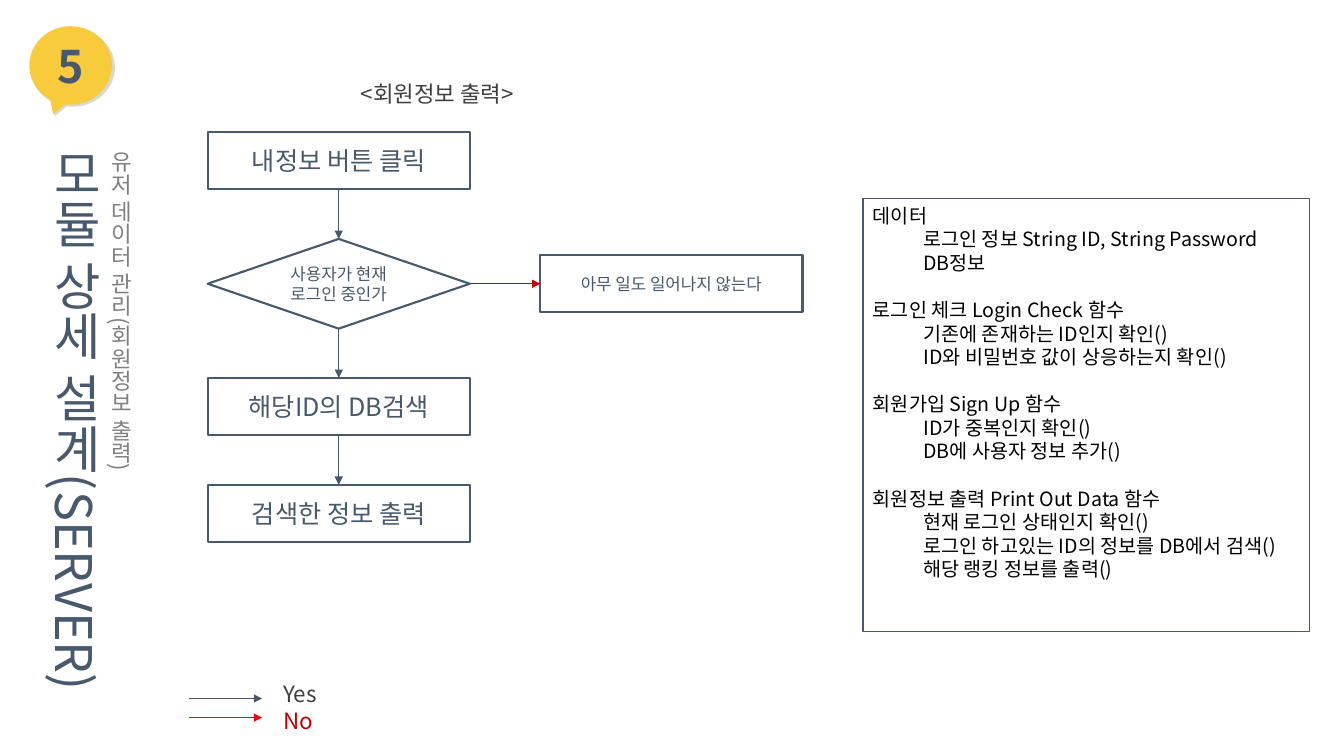
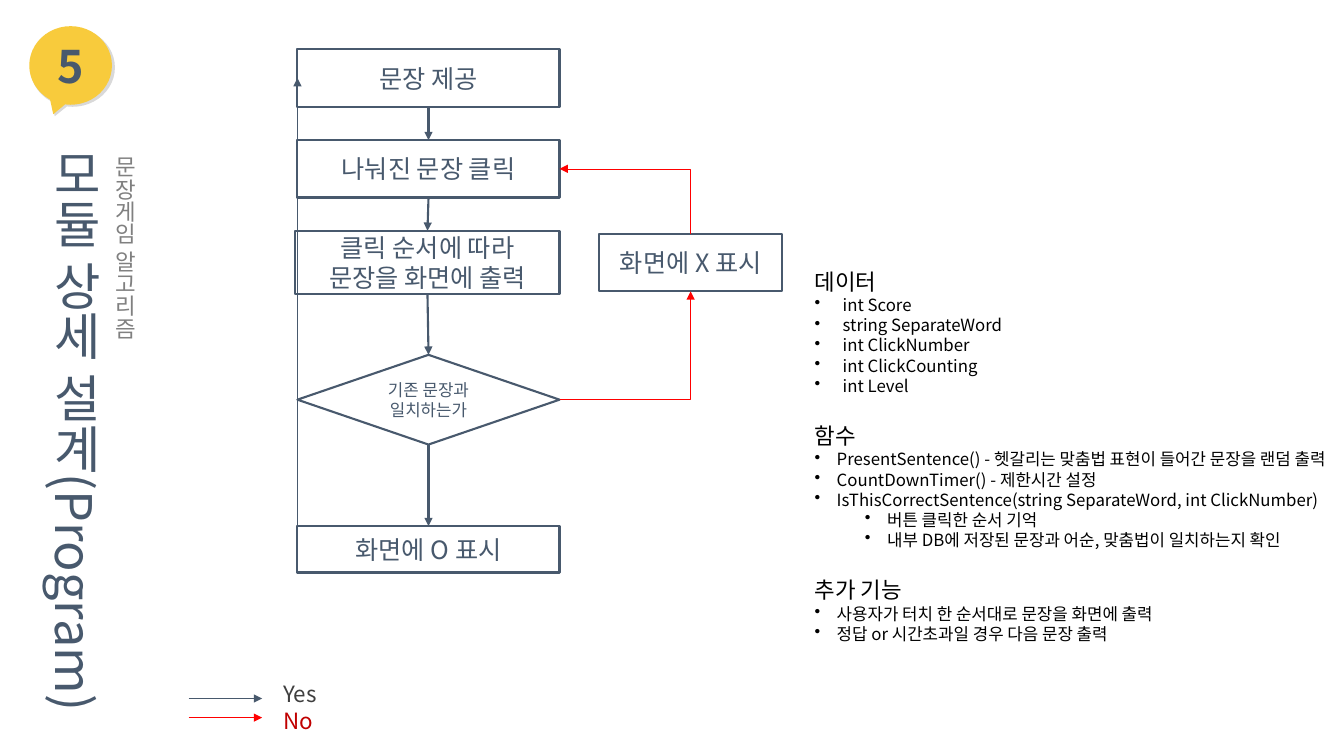
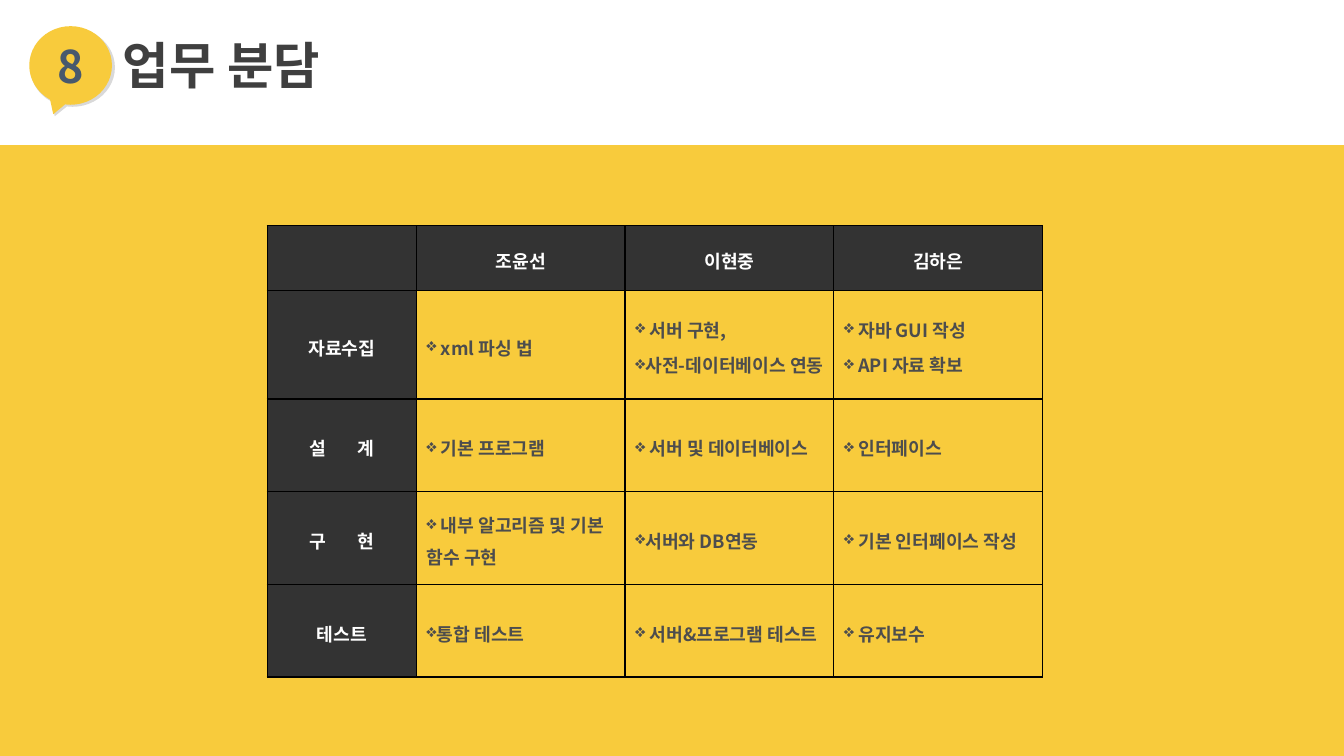
from lxml.etree import SubElement
from pptx import Presentation
from pptx.dml.color import RGBColor
from pptx.enum.shapes import MSO_CONNECTOR, MSO_SHAPE
from pptx.enum.text import MSO_ANCHOR, MSO_AUTO_SIZE, PP_ALIGN
from pptx.oxml.ns import qn
from pptx.util import Inches, Pt

# Shared style
FONT = "Noto Sans CJK KR"
NAVY, YELLOW, SHADOW = "48596D", "F8CB3C", "D9D9D9"
DARK, GRAY, BLACK, WHITE = "3F3F3F", "808080", "000000", "FFFFFF"
RED, DEEP_RED = "FF0000", "C00000"
TABLE_DARK, TABLE_TEXT = "333333", "4D4D4D"
TOP, LEFT, BOTTOM, RIGHT = range(4)
STEP_WIDTH, STEP_HEIGHT, DECISION_HEIGHT = 2.6, 0.57, 0.89
CENTER = {"alignment": PP_ALIGN.CENTER}


def color(value):
    return RGBColor.from_string(value)


def apply(target, values):
    for name, value in values.items():
        setattr(target, name, value)


# Text
def add_run(paragraph, text, size, ink, bold=False):
    run = paragraph.add_run()
    run.text = text
    apply(run.font, {"size": Pt(size), "bold": bold, "name": FONT})
    run.font.color.rgb = color(ink)
    SubElement(run.font._element, qn("a:ea"), typeface=FONT)
    return run


def format_paragraph(paragraph, values=None, margin=0, hanging=0, bullet=None):
    apply(paragraph, values or {})
    properties = paragraph._p.get_or_add_pPr()
    properties.set("marL", str(Inches(margin)))
    properties.set("indent", str(Inches(-hanging)))
    if bullet:
        SubElement(properties, qn("a:buChar"), char=bullet)


def next_paragraph(text_frame, index):
    return text_frame.add_paragraph() if index else text_frame.paragraphs[0]


def write_lines(text_frame, text, size, ink, bold=False, values=None):
    for index, line in enumerate(text.split("\n")):
        paragraph = next_paragraph(text_frame, index)
        format_paragraph(paragraph, values)
        add_run(paragraph, line, size, ink, bold)


def write_sections(text_frame, sections, heading_size, item_size, gap):
    """Each section is a heading and its items: (text, margin, hanging, bullet)."""
    count = 0
    for heading, items in sections:
        rows = [(heading, 0, 0, None, heading_size)] + [(*item, item_size) for item in items]
        for text, margin, hanging, bullet, size in rows:
            paragraph = next_paragraph(text_frame, count)
            values = {"space_before": Pt(gap)} if count and text == heading else {}
            format_paragraph(paragraph, values, margin, hanging, bullet)
            add_run(paragraph, text, size, BLACK)
            count += 1


def add_text_box(slide, box, wrap=True, vertical=False):
    text_frame = slide.shapes.add_textbox(*map(Inches, box)).text_frame
    apply(text_frame, {"word_wrap": wrap, "auto_size": MSO_AUTO_SIZE.SHAPE_TO_FIT_TEXT})
    if vertical:
        text_frame._txBody.bodyPr.set("vert", "eaVert")
    return text_frame


# Shapes and connectors
def add_shape(shapes, kind, box, fill=None, line=None, width=1.5):
    shape = shapes.add_shape(kind, *map(Inches, box))
    shape.shadow.inherit = False
    if fill:
        shape.fill.solid()
        shape.fill.fore_color.rgb = color(fill)
    else:
        shape.fill.background()
    if line:
        shape.line.color.rgb = color(line)
        shape.line.width = Pt(width)
    else:
        shape.line.fill.background()
    return shape


def add_step(slide, text, left, top, width=STEP_WIDTH, height=STEP_HEIGHT,
             size=18, kind=MSO_SHAPE.RECTANGLE):
    shape = add_shape(slide.shapes, kind, (left, top, width, height), line=NAVY)
    shape.text_frame.vertical_anchor = MSO_ANCHOR.MIDDLE
    write_lines(shape.text_frame, text, size, NAVY, values=CENTER)
    return shape


def add_decision(slide, text, left, top):
    return add_step(slide, text, left, top, height=DECISION_HEIGHT, size=12,
                    kind=MSO_SHAPE.FLOWCHART_DECISION)


def add_arrow(slide, ends=(0, 0, 0, 0), ink=NAVY, width=0.5,
              kind=MSO_CONNECTOR.STRAIGHT, arrow="tailEnd"):
    connector = slide.shapes.add_connector(kind, *map(Inches, ends))
    connector.line.color.rgb = color(ink)
    connector.line.width = Pt(width)
    SubElement(connector.line._get_or_add_ln(), qn("a:" + arrow), type="triangle")
    SubElement(connector._element.spPr, qn("a:effectLst"))
    return connector


def join(slide, start, start_side, end, end_side, **style):
    connector = add_arrow(slide, **style)
    connector.begin_connect(start, start_side)
    connector.end_connect(end, end_side)
    return connector


def join_corner(slide, start, start_side, end, end_side, **style):
    """One bend: leaves sideways, arrives vertically."""
    connector = join(slide, start, start_side, end, end_side,
                     kind=MSO_CONNECTOR.ELBOW, **style)
    connector._element.spPr.find(qn("a:prstGeom")).set("prst", "bentConnector2")


def join_chain(slide, steps, width):
    for upper, lower in zip(steps, steps[1:]):
        join(slide, upper, BOTTOM, lower, TOP, width=width)


# Parts that the slides share
def add_number_bubble(slide, number):
    group = slide.shapes.add_group_shape()
    for box, fill in (((0.3, 0.28, 0.84, 0.78), SHADOW), ((0.29, 0.26, 0.82, 0.78), YELLOW)):
        bubble = add_shape(group.shapes, MSO_SHAPE.OVAL_CALLOUT, box, fill)
        bubble.adjustments[0], bubble.adjustments[1] = -0.21, 0.62
    bubble.text_frame.vertical_anchor = MSO_ANCHOR.MIDDLE
    write_lines(bubble.text_frame, number, 32, NAVY, True, CENTER)


def add_side_title(slide, title, title_height, subtitle, subtitle_box):
    text_frame = add_text_box(slide, (0.29, 1.38, 0.81, title_height), False, True)
    write_lines(text_frame, title, 36, NAVY)
    text_frame = add_text_box(slide, subtitle_box, False, True)
    write_lines(text_frame, subtitle, 16, GRAY, values=CENTER)


def add_legend(slide):
    text_frame = add_text_box(slide, (1.71, 6.7, 1.78, 0.64))
    entries = (("Yes", DARK, NAVY, 6.93), ("No", DEEP_RED, RED, 7.12))
    for index, (text, ink, arrow_ink, y) in enumerate(entries):
        add_arrow(slide, (1.87, y, 2.6, y), arrow_ink, 0.25)
        paragraph = next_paragraph(text_frame, index)
        format_paragraph(paragraph, margin=1)
        add_run(paragraph, text, 16, ink)


# Table
def add_borders(cell):
    properties = cell._tc.get_or_add_tcPr()
    for side in ("lnL", "lnR", "lnT", "lnB"):
        border = SubElement(properties, qn("a:" + side), w=str(Pt(1)))
        fill = SubElement(border, qn("a:solidFill"))
        SubElement(fill, qn("a:srgbClr"), val=BLACK)


def fill_cell(cell, text, header):
    add_borders(cell)
    cell.vertical_anchor = MSO_ANCHOR.MIDDLE
    if header:
        cell.fill.solid()
        cell.fill.fore_color.rgb = color(TABLE_DARK)
    else:
        cell.fill.background()
    if not text:
        return
    values = {"line_spacing": 1.2, "space_before": Pt(3)}
    for index, line in enumerate(text.split("\n")):
        paragraph = next_paragraph(cell.text_frame, index)
        if not header:
            format_paragraph(paragraph, values, bullet="❖")
            add_run(paragraph, line, 13, TABLE_TEXT, True)
            continue
        format_paragraph(paragraph, {**values, **CENTER})
        first, space, last = line.partition(" ")
        run = add_run(paragraph, first + space, 13, WHITE, True)
        if space:  # letter spacing widens two-syllable labels
            run.font._element.set("spc", "1000")
            add_run(paragraph, last, 13, WHITE, True)


def add_task_table(slide, rows):
    frame = slide.shapes.add_table(len(rows), len(rows[0]),
                                   *map(Inches, (2.65, 2.24, 7.69, 4.32)))
    table = frame.table
    for index, column in enumerate(table.columns):
        column.width = Inches(2.07 if index else 1.48)
    for index, row in enumerate(table.rows):
        row.height = Inches(0.92 if index else 0.64)
    for row, texts in enumerate(rows):
        for column, text in enumerate(texts):
            fill_cell(table.cell(row, column), text, row == 0 or column == 0)


# Slides
def build_member_info(slide):
    add_number_bubble(slide, "5")
    add_side_title(slide, "모듈 상세 설계(SERVER)", 5.71,
                   "유저 데이터 관리(회원정보 출력)", (0.89, 1.4, 0.49, 3.36))
    left = 2.06
    click = add_step(slide, "내정보 버튼 클릭", left, 1.31)
    logged_in = add_decision(slide, "사용자가 현재 로그인 중인가", left, 2.37)
    search = add_step(slide, "해당ID의 DB검색", left, 3.75)
    output = add_step(slide, "검색한 정보 출력", left, 4.81)
    nothing = add_step(slide, "아무 일도 일어나지 않는다", 5.36, 2.53, size=12)
    join_chain(slide, (click, logged_in, search, output), 0.5)
    join(slide, logged_in, RIGHT, nothing, LEFT, ink=DEEP_RED)
    add_legend(slide)

    sections = (
        ("데이터", ("로그인 정보 String ID, String Password", "DB정보")),
        ("로그인 체크 Login Check 함수",
         ("기존에 존재하는 ID인지 확인()", "ID와 비밀번호 값이 상응하는지 확인()")),
        ("회원가입 Sign Up 함수", ("ID가 중복인지 확인()", "DB에 사용자 정보 추가()")),
        ("회원정보 출력 Print Out Data 함수",
         ("현재 로그인 상태인지 확인()", "로그인 하고있는 ID의 정보를 DB에서 검색()",
          "해당 랭킹 정보를 출력()")),
    )
    panel = add_shape(slide.shapes, MSO_SHAPE.RECTANGLE, (8.56, 1.97, 4.43, 4.3),
                      line=NAVY, width=0.75)
    panel.text_frame.vertical_anchor = MSO_ANCHOR.TOP
    indented = [(heading, [(text, 0.5, 0, None) for text in items])
                for heading, items in sections]
    for_panel = panel.text_frame
    write_sections(for_panel, indented, 14, 14, 17)
    for paragraph in for_panel.paragraphs:
        paragraph.alignment = PP_ALIGN.LEFT

    caption = add_text_box(slide, (3.48, 0.75, 1.82, 0.37))
    write_lines(caption, "<회원정보 출력>", 16, DARK)


def build_sentence_game(slide):
    add_number_bubble(slide, "5")
    add_side_title(slide, "모듈 상세 설계(Program)", 5.77,
                   "문장게임 알고리즘", (0.93, 1.45, 0.49, 1.94))
    left = 2.95
    sentence = add_step(slide, "문장 제공", left, 0.49)
    click = add_step(slide, "나눠진 문장 클릭", left, 1.39)
    matches = add_decision(slide, "기존 문장과\n일치하는가", left, 3.52)
    right_mark = add_step(slide, "화면에 O 표시", left, 5.22, height=0.46)
    wrong_mark = add_step(slide, "화면에 X 표시", 5.94, 2.32, width=1.82)
    display = add_step(slide, "클릭 순서에 따라\n문장을 화면에 출력", 2.93, 2.29, 2.62, 0.63)
    join_chain(slide, (sentence, click, display, matches, right_mark), 1.5)
    join(slide, right_mark, LEFT, sentence, LEFT, kind=MSO_CONNECTOR.ELBOW)
    join_corner(slide, matches, RIGHT, wrong_mark, BOTTOM, ink=RED, width=0.25)
    join_corner(slide, click, RIGHT, wrong_mark, TOP, ink=RED, width=0.25, arrow="headEnd")
    add_legend(slide)

    def bullets(margin, hanging, *texts):
        return [(text, margin, hanging, "•") for text in texts]

    sections = (
        ("데이터", bullets(0.28, 0.28, "int Score", "string SeparateWord", "int ClickNumber",
                        "int ClickCounting", "int Level")),
        ("함수", bullets(0.22, 0.22,
                       "PresentSentence() - 헷갈리는 맞춤법 표현이 들어간 문장을 랜덤 출력",
                       "CountDownTimer() - 제한시간 설정",
                       "IsThisCorrectSentence(string SeparateWord, int ClickNumber)")
         + bullets(0.72, 0.22, "버튼 클릭한 순서 기억",
                   "내부 DB에 저장된 문장과 어순, 맞춤법이 일치하는지 확인")),
        ("추가 기능", bullets(0.22, 0.22, "사용자가 터치 한 순서대로 문장을 화면에 출력",
                          "정답 or 시간초과일 경우 다음 문장 출력")),
    )
    write_sections(add_text_box(slide, (7.98, 2.61, 5.35, 4.04)), sections, 16, 12, 19)


def build_task_division(slide):
    add_shape(slide.shapes, MSO_SHAPE.RECTANGLE, (0, 1.44, 13.33, 6.06), YELLOW)
    add_task_table(slide, (
        ("", "조윤선", "이현중", "김하은"),
        ("자료수집", " xml 파싱 법", " 서버 구현,\n사전-데이터베이스 연동",
         " 자바 GUI 작성\n API 자료 확보"),
        ("설 계", " 기본 프로그램", " 서버 및 데이터베이스", " 인터페이스"),
        ("구 현", " 내부 알고리즘 및 기본 함수 구현", "서버와 DB연동", " 기본 인터페이스 작성"),
        ("테스트", "통합 테스트", " 서버&프로그램 테스트", " 유지보수"),
    ))
    add_number_bubble(slide, "8")
    title = add_text_box(slide, (1.12, 0.29, 2.28, 0.71), wrap=False)
    write_lines(title, "업무 분담", 36, DARK, True)


def main():
    presentation = Presentation()
    presentation.slide_width = Inches(13.33)
    presentation.slide_height = Inches(7.5)
    for build in (build_member_info, build_sentence_game, build_task_division):
        build(presentation.slides.add_slide(presentation.slide_layouts[6]))
    presentation.save("out.pptx")


if __name__ == "__main__":
    main()
